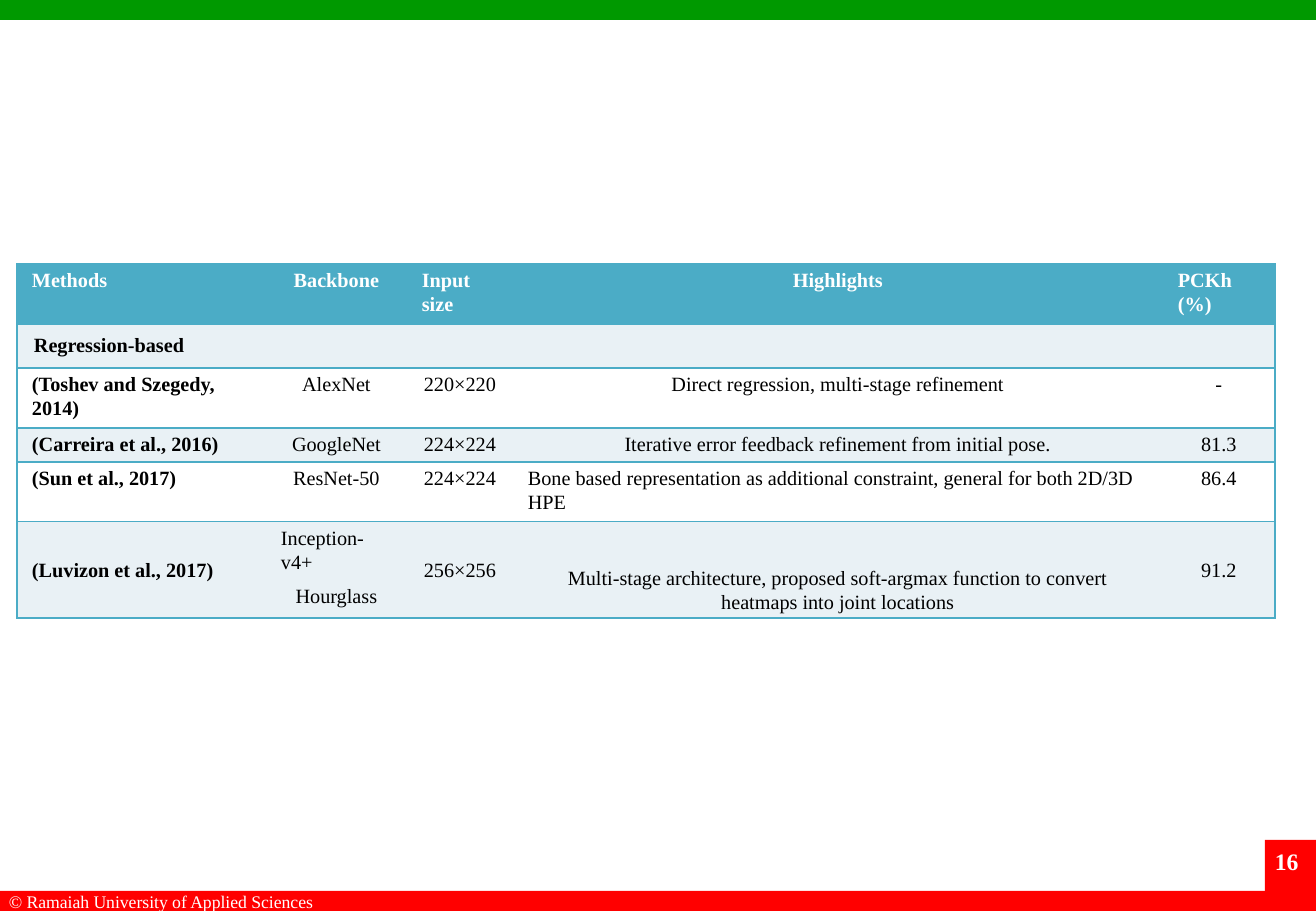
from lxml.etree import SubElement
from pptx import Presentation
from pptx.dml.color import RGBColor
from pptx.enum.shapes import MSO_SHAPE
from pptx.enum.text import MSO_ANCHOR, PP_ALIGN
from pptx.oxml.ns import qn
from pptx.util import Emu, Pt

SLIDE_W, SLIDE_H = 1316, 911
LEFT, CENTER = PP_ALIGN.LEFT, PP_ALIGN.CENTER
TOP, MIDDLE, BOTTOM = MSO_ANCHOR.TOP, MSO_ANCHOR.MIDDLE, MSO_ANCHOR.BOTTOM
GREEN, RED, TEAL, PALE, WHITE, BLACK = (
    "009900", "FF0000", "4BACC6", "E9F1F5", "FFFFFF", "000000")


def px(length):
    return Emu(round(length * 914400 / 121.5))


def color(value):
    return RGBColor.from_string(value)


def write(frame, text, size=12, ink=BLACK, bold=False, aligns=(LEFT,),
          spacing=1.0, gap=0):
    """Fill a frame, one paragraph per line, each with its own alignment."""
    frame.word_wrap = True
    for index, (line, align) in enumerate(zip(text.split("\n"), aligns)):
        paragraph = frame.add_paragraph() if index else frame.paragraphs[0]
        paragraph.alignment = align
        paragraph.line_spacing = spacing
        if index:
            paragraph.space_before = Pt(gap)
        run = paragraph.add_run()
        run.text = line
        run.font.name = "Times New Roman"
        run.font.size = Pt(size)
        run.font.bold = bold
        run.font.color.rgb = color(ink)


class ReviewSlide:
    def __init__(self, deck):
        self.slide = deck.slides.add_slide(deck.slide_layouts[6])

    def bar(self, x, y, w, h, fill):
        bar = self.slide.shapes.add_shape(
            MSO_SHAPE.RECTANGLE, px(x), px(y), px(w), px(h))
        bar.shadow.inherit = False
        bar.fill.solid()
        bar.fill.fore_color.rgb = color(fill)
        bar.line.fill.background()

    def label(self, text, x, y, w, h, **style):
        box = self.slide.shapes.add_textbox(px(x), px(y), px(w), px(h))
        write(box.text_frame, text, **style)

    def table(self, x, y, widths, heights):
        table = self.slide.shapes.add_table(
            len(heights), len(widths), px(x), px(y),
            px(sum(widths)), px(sum(heights))).table
        table.first_row = table.horz_banding = False
        for column, width in zip(table.columns, widths):
            column.width = px(width)
        for row, height in zip(table.rows, heights):
            row.height = px(height)
        return table

    def cell(self, cell, fill, sides, inset, anchor=TOP):
        left, top, right, bottom = inset
        cell.margin_left, cell.margin_top = px(left), px(top)
        cell.margin_right, cell.margin_bottom = px(right), px(bottom)
        cell.vertical_anchor = anchor
        properties = cell._tc.get_or_add_tcPr()
        for side in "LRTB":
            edge = SubElement(properties, qn(f"a:ln{side}"), w=str(Pt(1)))
            if side in sides:
                paint = SubElement(edge, qn("a:solidFill"))
                SubElement(paint, qn("a:srgbClr"), val=TEAL)
            else:
                SubElement(edge, qn("a:noFill"))
        cell.fill.solid()
        cell.fill.fore_color.rgb = color(fill)


METHODS = [
    ("Methods", "Backbone", "Input size", "Highlights", "PCKh (%)"),
    ("Regression-based", "", "", "", ""),
    ("(Toshev and Szegedy, 2014)", "AlexNet", "220×220",
     "Direct regression, multi-stage refinement", "-"),
    ("(Carreira et al., 2016)", "GoogleNet", "224×224",
     "Iterative error feedback refinement from initial pose.", "81.3"),
    ("(Sun et al., 2017)", "ResNet-50", "224×224",
     "Bone based representation as additional constraint, "
     "general for both 2D/3D HPE", "86.4"),
    ("(Luvizon et al., 2017)", "Inception-v4+\nHourglass", "256×256",
     "Multi-stage architecture, proposed soft-argmax function "
     "to convert heatmaps into joint locations", "91.2"),
]
HEADER, GROUP, SUN, LUVIZON = 0, 1, 4, 5
BACKBONE, INPUT_SIZE, HIGHLIGHTS = 1, 2, 3
HEADER_ALIGNS = (LEFT, CENTER, LEFT, CENTER, LEFT)
BODY_ALIGNS = (LEFT, CENTER, LEFT, CENTER, CENTER)
SPECIAL_ALIGNS = {(SUN, HIGHLIGHTS): (LEFT,),
                  (LUVIZON, BACKBONE): (LEFT, CENTER)}
LUVIZON_ANCHORS = (MIDDLE, TOP, MIDDLE, BOTTOM, MIDDLE)


def add_methods(review):
    table = review.table(17, 264, widths=(249, 141, 106, 650, 112),
                         heights=(58, 44, 58, 33, 59, 94))
    table.cell(GROUP, 0).merge(table.cell(GROUP, 4))
    for r, entries in enumerate(METHODS):
        row_fill = TEAL if r == HEADER else PALE if r % 2 else WHITE
        aligns = HEADER_ALIGNS if r == HEADER else BODY_ALIGNS
        for c, text in enumerate(entries):
            cell = table.cell(r, c)
            sides = "TB" + {0: "L", 4: "R"}.get(c, "")
            if r == GROUP:
                sides, inset = "LRTB", (17, 9, 17, 9)
            else:
                indent = 2 if c == INPUT_SIZE and r > GROUP else 0
                inset = (15 + indent, 4, 15, 4)
            anchor = LUVIZON_ANCHORS[c] if r == LUVIZON else TOP
            review.cell(cell, row_fill, sides, inset, anchor)
            if text:
                write(cell.text_frame, text,
                      ink=WHITE if r == HEADER else BLACK,
                      bold=r == HEADER or c == 0,
                      aligns=SPECIAL_ALIGNS.get((r, c), (aligns[c],)),
                      spacing=1.07, gap=6)


def main():
    deck = Presentation()
    deck.slide_width, deck.slide_height = px(SLIDE_W), px(SLIDE_H)
    review = ReviewSlide(deck)

    # Top band and footer
    review.bar(0, 0, SLIDE_W, 20, GREEN)
    review.bar(0, 891, SLIDE_W, 20, RED)
    review.label("© Ramaiah University of Applied Sciences",
                 -3, 885, 356, 34, size=10.5, ink=WHITE)

    # Page number
    review.bar(1265, 840, 51, 71, RED)
    review.label("16", 1263, 841, 68, 41, size=14, ink=WHITE, bold=True)

    # Comparison of methods
    add_methods(review)
    deck.save("out.pptx")


if __name__ == "__main__":
    main()
